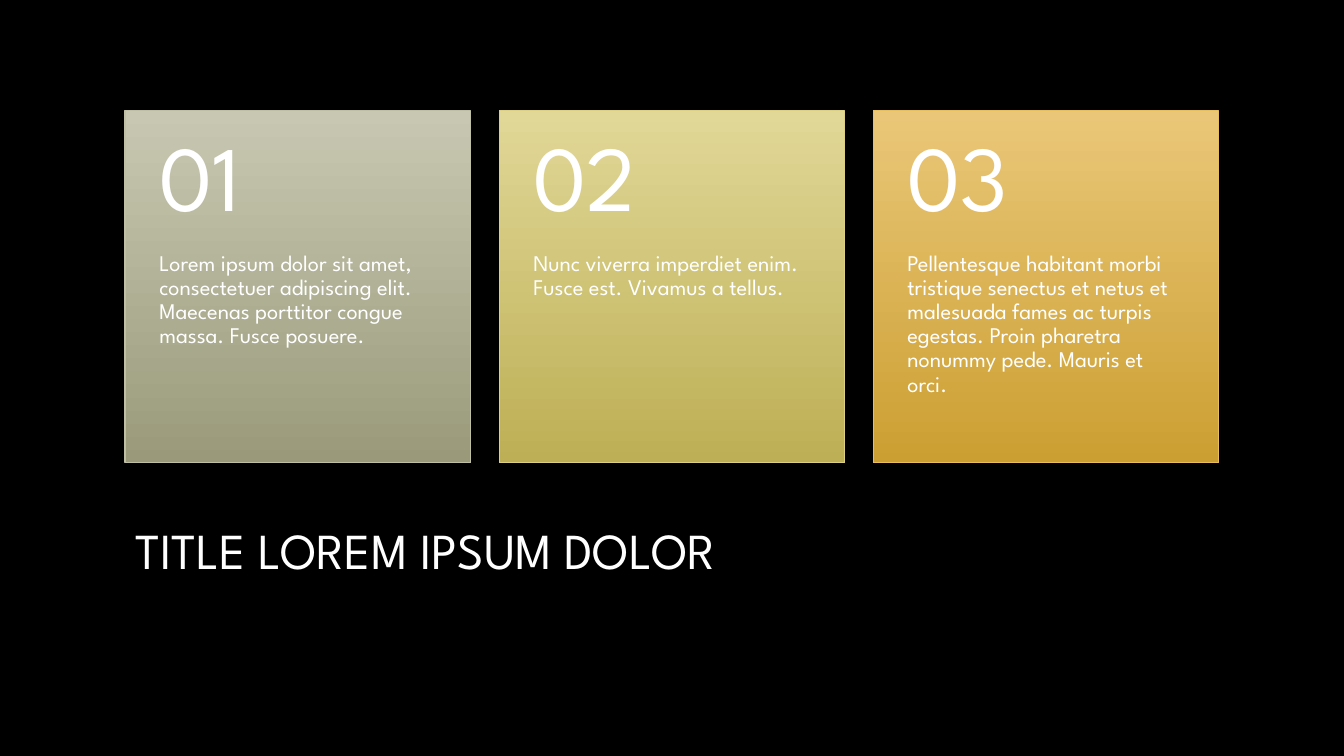
import pptx
import pptx.dml.color
import pptx.enum.shapes
import pptx.enum.text
import pptx.util

Inches = pptx.util.Inches
Pt = pptx.util.Pt
Anchor = pptx.enum.text.MSO_ANCHOR

FONT = "League Spartan"
CARD_WIDTH, CARD_HEIGHT, CARD_STEP = 3.43, 3.49, 3.71
NUMBER_HEIGHT = 1.4
CARDS = [
    ("01", "Lorem ipsum dolor sit amet, consectetuer adipiscing elit. "
     "Maecenas porttitor congue massa. Fusce posuere.",
     ("C8C8B2", "9A9A7B"), "BFBFA5"),
    ("02", "Nunc viverra imperdiet enim. Fusce est. Vivamus a tellus.",
     ("E1D797", "BDAF55"), "DCD084"),
    ("03", "Pellentesque habitant morbi tristique senectus et netus et "
     "malesuada fames ac turpis egestas. Proin pharetra nonummy pede. "
     "Mauris et orci.",
     ("EAC778", "CC9F32"), "E7BF5F"),
]


def color(value):
    return pptx.dml.color.RGBColor.from_string(value)


def add_text(shapes, box, text, size, insets, anchor=Anchor.TOP, line_spacing=1.0):
    frame = shapes.add_textbox(*map(Inches, box)).text_frame
    frame.word_wrap = True
    frame.vertical_anchor = anchor
    frame.margin_left, frame.margin_top, frame.margin_right, frame.margin_bottom = map(
        Inches, insets)
    paragraph = frame.paragraphs[0]
    paragraph.text = text
    paragraph.line_spacing = line_spacing
    paragraph.font.name = FONT
    paragraph.font.size = Pt(size)
    paragraph.font.color.rgb = color("FFFFFF")


def add_card(shapes, box, number, body, gradient, outline):
    left, top, width, height = box
    panel = shapes.add_shape(
        pptx.enum.shapes.MSO_SHAPE.RECTANGLE, *map(Inches, box))
    panel.shadow.inherit = False
    panel.fill.gradient()
    panel.fill.gradient_angle = 270
    for stop, value in zip(panel.fill.gradient_stops, gradient):
        stop.color.rgb = color(value)
    panel.line.color.rgb = color(outline)
    panel.line.width = Pt(0.75)
    add_text(shapes, (left, top + NUMBER_HEIGHT, width, height - NUMBER_HEIGHT),
             body, 16, (0.34, 0, 0.34, 0.36), line_spacing=0.9)
    add_text(shapes, (left, top, width, NUMBER_HEIGHT),
             number, 66, (0.34, 0.18, 0.34, 0.18), Anchor.MIDDLE, 0.9)


def add_cards(slide, left, top):
    group = slide.shapes.add_group_shape()
    for index, card in enumerate(CARDS):
        box = (left + index * CARD_STEP, top, CARD_WIDTH, CARD_HEIGHT)
        add_card(group.shapes, box, *card)


def main():
    presentation = pptx.Presentation()
    presentation.slide_width = Inches(13.33)
    presentation.slide_height = Inches(7.5)
    slide = presentation.slides.add_slide(presentation.slide_layouts[6])
    slide.background.fill.solid()
    slide.background.fill.fore_color.rgb = color("000000")
    add_text(slide.shapes, (1.25, 5.1, 10.85, 1.16),
             "TITLE LOREM IPSUM DOLOR", 36, (0.1, 0.05, 0.1, 0.05))
    add_cards(slide, 1.24, 1.1)
    presentation.save("out.pptx")


if __name__ == "__main__":
    main()
